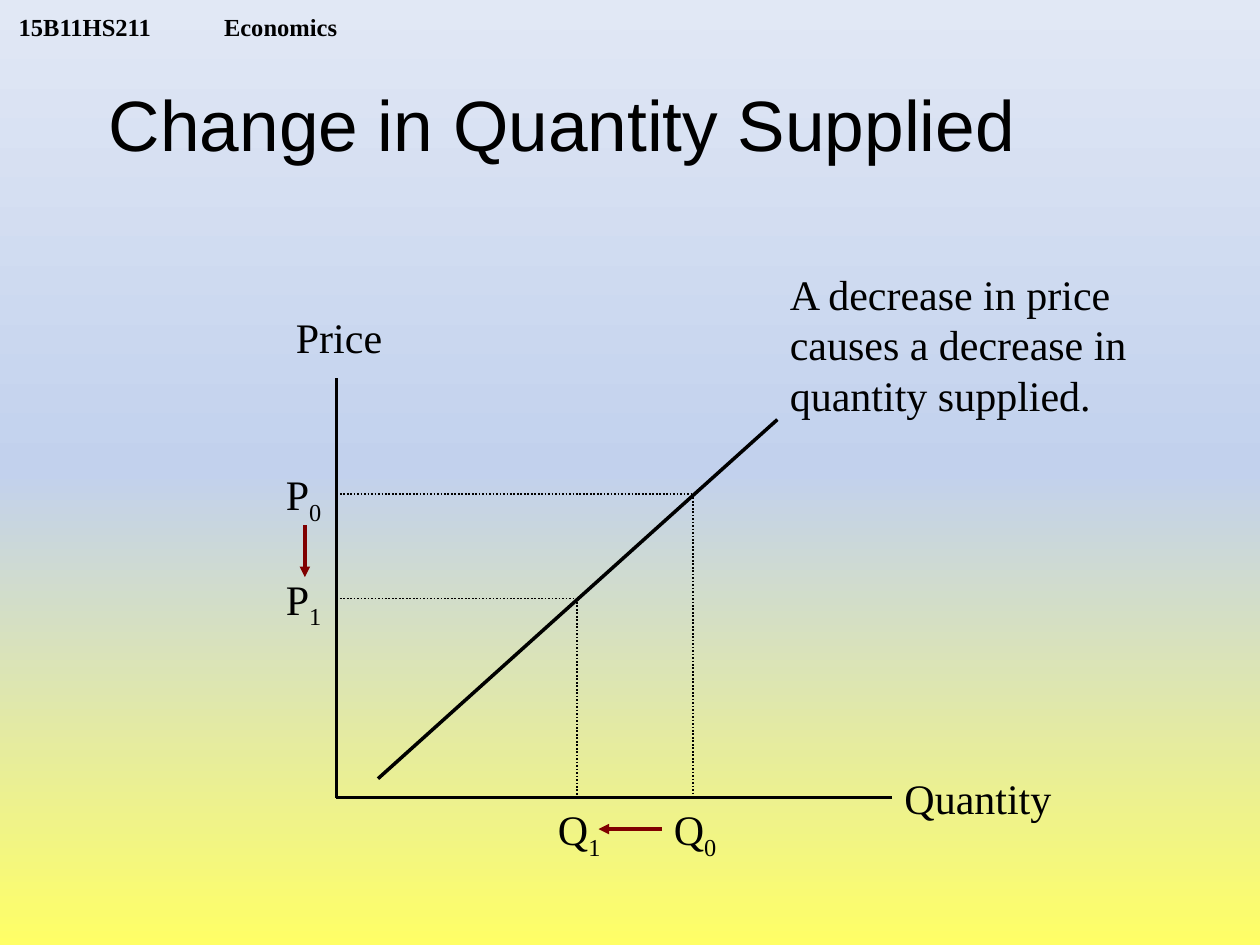
from copy import deepcopy
from dataclasses import dataclass, field
from typing import NamedTuple, Optional

from lxml.etree import SubElement
from pptx import Presentation
from pptx.dml.color import RGBColor
from pptx.enum.dml import MSO_LINE_DASH_STYLE as Dash
from pptx.enum.shapes import MSO_CONNECTOR as Connector
from pptx.enum.text import MSO_ANCHOR as Anchor, MSO_AUTO_SIZE as AutoSize, PP_ALIGN as Align
from pptx.oxml.ns import qn
from pptx.util import Inches, Pt


@dataclass(frozen=True)
class Theme:
    ink: RGBColor = RGBColor(0x00, 0x00, 0x00)
    shift: RGBColor = RGBColor(0x80, 0x00, 0x00)
    # Background colours from the bottom of the slide to the top
    backdrop: tuple = ("FFFF66", "C2D1ED", "E1E8F5")
    title_font: str = "Arial"
    body_font: str = "Times New Roman"
    title_size: float = 40.7
    body_size: float = 24
    header_size: float = 14
    heavy: float = 2
    guide: float = 1


class Point(NamedTuple):
    x: float
    y: float


class Box(NamedTuple):
    left: float
    top: float
    width: float
    height: float = 0.5


@dataclass(frozen=True)
class Label:
    text: str
    box: Box
    subscript: str = ""
    wrap: bool = False


@dataclass(frozen=True)
class Stroke:
    start: Point
    end: Point
    color: RGBColor = field(default_factory=lambda: THEME.ink)
    weight: float = 2
    dotted: bool = False
    arrow: bool = False
    from_label: Optional[str] = None
    site: int = 0


THEME = Theme()
ORIGIN = Point(2.67, 6.33)
RIGHT_SIDE, LEFT_SIDE = 3, 1

# Price and quantity before (0) and after (1) the change
EQUILIBRIA = {"0": Point(5.5, 3.92), "1": Point(4.58, 4.75)}

LABELS = [
    Label("Quantity", Box(7.08, 6.08, 1.37)),
    Label("Price", Box(2.25, 2.42, 0.89)),
    Label("A decrease in price causes a decrease in quantity supplied.",
          Box(6.17, 2.08, 3.08, 1.3), wrap=True),
]
STROKES = [
    Stroke(Point(ORIGIN.x, 3), ORIGIN),
    Stroke(Point(7.08, ORIGIN.y), ORIGIN, from_label="Quantity", site=LEFT_SIDE),
    Stroke(Point(6.17, 3.33), Point(3, 6.18)),
    Stroke(Point(2.42, 4.17), Point(2.42, 4.58), THEME.shift, arrow=True),
    Stroke(Point(5.25, 6.58), Point(4.75, 6.58), THEME.shift, arrow=True),
]
for step, spot in EQUILIBRIA.items():
    LABELS += [
        Label("P", Box(ORIGIN.x - 0.5, spot.y - 0.25, 0.5), step),
        Label("Q", Box(spot.x - 0.25, ORIGIN.y, 0.55), step),
    ]
    STROKES += [
        Stroke(Point(ORIGIN.x, spot.y), spot, weight=THEME.guide, dotted=True,
               from_label="P" + step, site=RIGHT_SIDE),
        Stroke(spot, Point(spot.x, ORIGIN.y), weight=THEME.guide, dotted=True),
    ]


def style_runs(paragraph, font: str, size: float, bold: bool = False) -> None:
    for run in paragraph.runs:
        run.font.name, run.font.size, run.font.bold = font, Pt(size), bold
        run.font.color.rgb = THEME.ink


def paint_background(slide) -> None:
    fill = slide.background.fill
    fill.gradient()
    fill.gradient_angle = 90
    stop_list = slide._element.find(".//" + qn("a:gsLst"))
    stop_list.insert(1, deepcopy(stop_list[0]))
    last = len(THEME.backdrop) - 1
    for index, (stop, tint) in enumerate(zip(fill.gradient_stops, THEME.backdrop)):
        stop.position = index / last
        stop.color.rgb = RGBColor.from_string(tint)


def add_text(slide, text: str, box: Box, wrap: bool = False):
    shape = slide.shapes.add_textbox(*map(Inches, box))
    shape.text_frame.word_wrap = wrap
    shape.text_frame.auto_size = AutoSize.NONE
    shape.text_frame.text = text
    return shape


def add_header(slide) -> None:
    frame = add_text(slide, "", Box(0.05, 0, 3.2, 0.33), wrap=True).text_frame
    frame.vertical_anchor = Anchor.BOTTOM
    frame.margin_top = frame.margin_bottom = 0
    paragraph = frame.paragraphs[0]
    tabs = SubElement(paragraph._p.get_or_add_pPr(), qn("a:tabLst"))
    SubElement(tabs, qn("a:tab"), pos=str(Inches(1.63)), algn="l")
    paragraph.text = "15B11HS211\tEconomics"
    style_runs(paragraph, THEME.body_font, THEME.header_size, bold=True)


def add_title(slide) -> None:
    title = slide.shapes.title
    title.left, title.top, title.width, title.height = map(Inches, Box(0.5, 0.35, 7.92, 1.25))
    frame = title.text_frame
    frame.text = "Change in Quantity Supplied"
    frame.auto_size = AutoSize.NONE
    frame.vertical_anchor = Anchor.MIDDLE
    frame.paragraphs[0].alignment = Align.CENTER
    style_runs(frame.paragraphs[0], THEME.title_font, THEME.title_size)


def add_label(slide, label: Label):
    shape = add_text(slide, label.text, label.box, label.wrap)
    paragraph = shape.text_frame.paragraphs[0]
    if label.subscript:
        index = paragraph.add_run()
        index.text = label.subscript
        index.font._element.set("baseline", "-25000")
    style_runs(paragraph, THEME.body_font, THEME.body_size)
    return shape


def add_stroke(slide, stroke: Stroke, labels: dict) -> None:
    connector = slide.shapes.add_connector(
        Connector.STRAIGHT, *map(Inches, (*stroke.start, *stroke.end)))
    if stroke.from_label:
        connector.begin_connect(labels[stroke.from_label], stroke.site)
    line = connector.line
    line.color.rgb, line.width = stroke.color, Pt(stroke.weight)
    if stroke.dotted:
        line.dash_style = Dash.ROUND_DOT
    if stroke.arrow:
        SubElement(line._get_or_add_ln(), qn("a:tailEnd"), type="triangle")
    SubElement(connector._element.spPr, qn("a:effectLst"))


def main() -> None:
    deck = Presentation()
    deck.slide_width, deck.slide_height = Inches(10), Inches(7.5)
    slide = deck.slides.add_slide(deck.slide_layouts[5])

    # Backdrop, course header and title
    paint_background(slide)
    add_header(slide)
    add_title(slide)

    # Supply diagram: labels first, so that lines can join them
    labels = {label.text + label.subscript: add_label(slide, label) for label in LABELS}
    for stroke in STROKES:
        add_stroke(slide, stroke, labels)

    deck.save("out.pptx")


if __name__ == "__main__":
    main()
